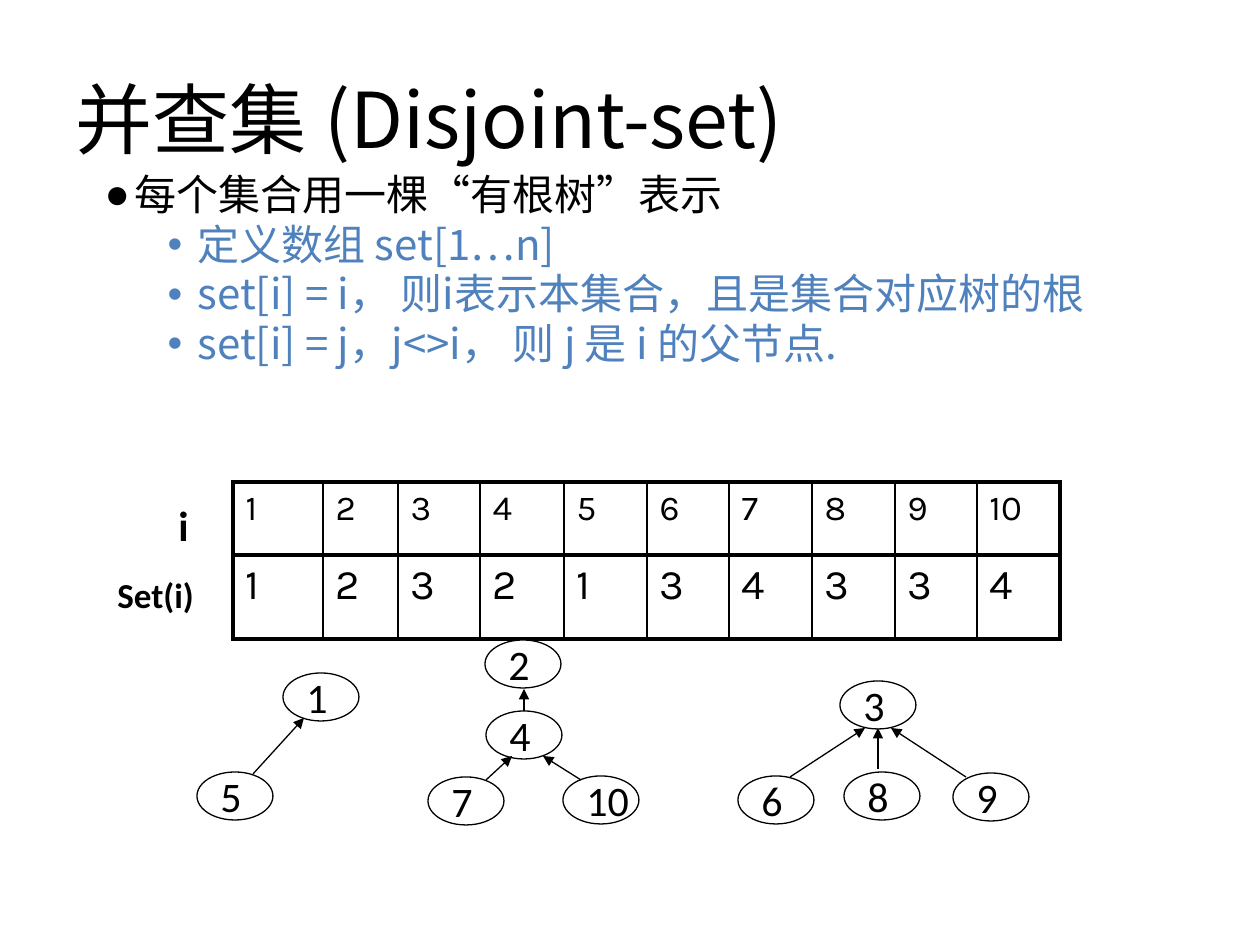
from dataclasses import dataclass

import lxml.etree
import pptx
import pptx.dml.color
import pptx.enum.shapes
import pptx.enum.text
import pptx.oxml.ns
import pptx.util

PX = pptx.util.Inches(1) / 126
qn = pptx.oxml.ns.qn


@dataclass(frozen=True)
class Theme:
    black: str = "000000"
    white: str = "FFFFFF"
    blue: str = "4F81BD"
    cjk: str = "Noto Sans CJK SC"
    latin: str = "Calibri"
    digits: str = "Karla"
    title: int = 44
    text: int = 24
    small: int = 20
    thin: float = 0.75
    grid: float = 1
    frame: float = 2.25


@dataclass(frozen=True)
class Bullet:
    text: str
    level: int
    mark: str
    color: str


@dataclass(frozen=True)
class Node:
    value: int
    left: int
    top: int


@dataclass(frozen=True)
class Arrow:
    start: tuple[int, int]
    end: tuple[int, int]


THEME = Theme()
NODE_WIDTH, NODE_HEIGHT = 76, 48
BULLETS = [
    Bullet("每个集合用一棵“有根树”表示", 1, "●", THEME.black),
    Bullet("定义数组 set[1…n]", 2, "•", THEME.blue),
    Bullet("set[i] = i， 则i表示本集合，且是集合对应树的根", 2, "•", THEME.blue),
    Bullet("set[i] = j，j<>i， 则 j 是 i 的父节点.", 2, "•", THEME.blue),
]
PARENTS = [1, 2, 3, 2, 1, 3, 4, 3, 3, 4]
COLUMN_WIDTHS = [90, 75, 82, 84, 83, 82, 83, 83, 82, 83]
ROW_HEIGHTS = [73, 84]
NODES = [
    Node(1, 283, 673), Node(5, 197, 772),
    Node(2, 485, 640), Node(4, 486, 711), Node(7, 428, 777), Node(10, 563, 776),
    Node(3, 840, 681), Node(6, 738, 776), Node(8, 844, 772), Node(9, 953, 773),
]
ARROWS = [
    Arrow((253, 774), (304, 718)),
    Arrow((486, 780), (512, 756)),
    Arrow((581, 780), (543, 756)),
    Arrow((524, 711), (524, 689)),
    Arrow((790, 777), (865, 728)),
    Arrow((878, 769), (878, 728)),
    Arrow((966, 777), (891, 728)),
]


def px(*lengths: int) -> list[int]:
    return [round(length * PX) for length in lengths]


def rgb(color: str) -> pptx.dml.color.RGBColor:
    return pptx.dml.color.RGBColor.from_string(color)


def style(paragraph, size: int, name: str, color: str = THEME.black, bold: bool = False) -> None:
    paragraph.alignment = pptx.enum.text.PP_ALIGN.LEFT
    font = paragraph.font
    font.size = pptx.util.Pt(size)
    font.name = name
    font.bold = bold
    font.color.rgb = rgb(color)
    latin = paragraph._p.pPr.find(qn("a:defRPr")).find(qn("a:latin"))
    east_asian = latin.makeelement(qn("a:ea"), {"typeface": name})
    latin.addnext(east_asian)


def place(shape, left: int, top: int, width: int, height: int) -> None:
    shape.left, shape.top, shape.width, shape.height = px(left, top, width, height)


def fill_title(shape) -> None:
    place(shape, 63, 39, 1134, 158)
    shape.text_frame.text = "并查集 (Disjoint-set)"
    shape.text_frame.vertical_anchor = pptx.enum.text.MSO_ANCHOR.MIDDLE
    style(shape.text_frame.paragraphs[0], THEME.title, THEME.cjk)


def fill_body(shape) -> None:
    place(shape, 59, 168, 1103, 689)
    frame = shape.text_frame
    frame.text = "\n".join(bullet.text for bullet in BULLETS)
    frame.auto_size = pptx.enum.text.MSO_AUTO_SIZE.NONE
    for paragraph, bullet in zip(frame.paragraphs, BULLETS):
        paragraph.level = bullet.level
        properties = paragraph._p.get_or_add_pPr()
        properties.set("marL", str(px(63 * bullet.level)[0]))
        properties.set("indent", str(px(-30)[0]))
        lxml.etree.SubElement(properties, qn("a:buFont"), typeface="Arial")
        lxml.etree.SubElement(properties, qn("a:buChar"), char=bullet.mark)
        paragraph.line_spacing = 0.9
        paragraph.space_before = pptx.util.Pt(2.4)
        style(paragraph, THEME.text, THEME.cjk, bullet.color)


def set_borders(cell, left: float, right: float, top: float, bottom: float) -> None:
    properties = cell._tc.get_or_add_tcPr()
    sides = {"a:lnL": left, "a:lnR": right, "a:lnT": top, "a:lnB": bottom}
    for index, (tag, width) in enumerate(sides.items()):
        line = properties.makeelement(qn(tag), {"w": str(pptx.util.Pt(width))})
        fill = lxml.etree.SubElement(line, qn("a:solidFill"))
        lxml.etree.SubElement(fill, qn("a:srgbClr"), val=THEME.black)
        properties.insert(index, line)


def add_set_table(slide) -> None:
    rows = [(range(1, 11), THEME.small), (PARENTS, THEME.text)]
    last = len(PARENTS) - 1
    table = slide.shapes.add_table(
        len(rows), len(PARENTS), *px(233, 482, sum(COLUMN_WIDTHS), sum(ROW_HEIGHTS))
    ).table
    table.first_row = table.horz_banding = False
    for column, width in zip(table.columns, px(*COLUMN_WIDTHS)):
        column.width = width
    for row, height in zip(table.rows, px(*ROW_HEIGHTS)):
        row.height = height
    for row_index, (values, size) in enumerate(rows):
        for column_index, value in enumerate(values):
            cell = table.cell(row_index, column_index)
            cell.text = str(value)
            cell.fill.background()
            style(cell.text_frame.paragraphs[0], size, THEME.digits)
            left = THEME.frame if column_index == 0 else THEME.grid
            right = THEME.frame if column_index == last else THEME.grid
            set_borders(cell, left, right, THEME.frame, THEME.frame)


def add_label(slide, text: str, size: int, left: int, top: int, width: int, height: int) -> None:
    frame = slide.shapes.add_textbox(*px(left, top, width, height)).text_frame
    frame.word_wrap = True
    frame.text = text
    style(frame.paragraphs[0], size, THEME.latin, bold=True)


def add_node(slide, node: Node) -> None:
    shape = slide.shapes.add_shape(
        pptx.enum.shapes.MSO_SHAPE.OVAL, *px(node.left, node.top, NODE_WIDTH, NODE_HEIGHT)
    )
    shape.shadow.inherit = False
    shape.fill.solid()
    shape.fill.fore_color.rgb = rgb(THEME.white)
    shape.line.color.rgb = rgb(THEME.black)
    shape.line.width = pptx.util.Pt(THEME.thin)
    frame = shape.text_frame
    frame.text = str(node.value)
    frame.word_wrap = False
    frame.vertical_anchor = pptx.enum.text.MSO_ANCHOR.MIDDLE
    style(frame.paragraphs[0], THEME.text, THEME.latin)


def add_arrow(slide, arrow: Arrow) -> None:
    connector = slide.shapes.add_connector(
        pptx.enum.shapes.MSO_CONNECTOR.STRAIGHT, *px(*arrow.start, *arrow.end)
    )
    connector.line.color.rgb = rgb(THEME.black)
    connector.line.width = pptx.util.Pt(THEME.thin)
    lxml.etree.SubElement(connector.line._get_or_add_ln(), qn("a:tailEnd"), type="triangle")
    lxml.etree.SubElement(connector._element.spPr, qn("a:effectLst"))


def main() -> None:
    presentation = pptx.Presentation()
    presentation.slide_width, presentation.slide_height = px(1260, 945)
    slide = presentation.slides.add_slide(presentation.slide_layouts[1])
    fill_title(slide.shapes.title)
    fill_body(slide.placeholders[1])
    add_set_table(slide)
    add_label(slide, "i", THEME.text, 166, 493, 44, 63)
    add_label(slide, "Set(i)", THEME.small, 105, 567, 137, 54)
    for node in NODES:
        add_node(slide, node)
    for arrow in ARROWS:
        add_arrow(slide, arrow)
    presentation.save("out.pptx")


if __name__ == "__main__":
    main()
